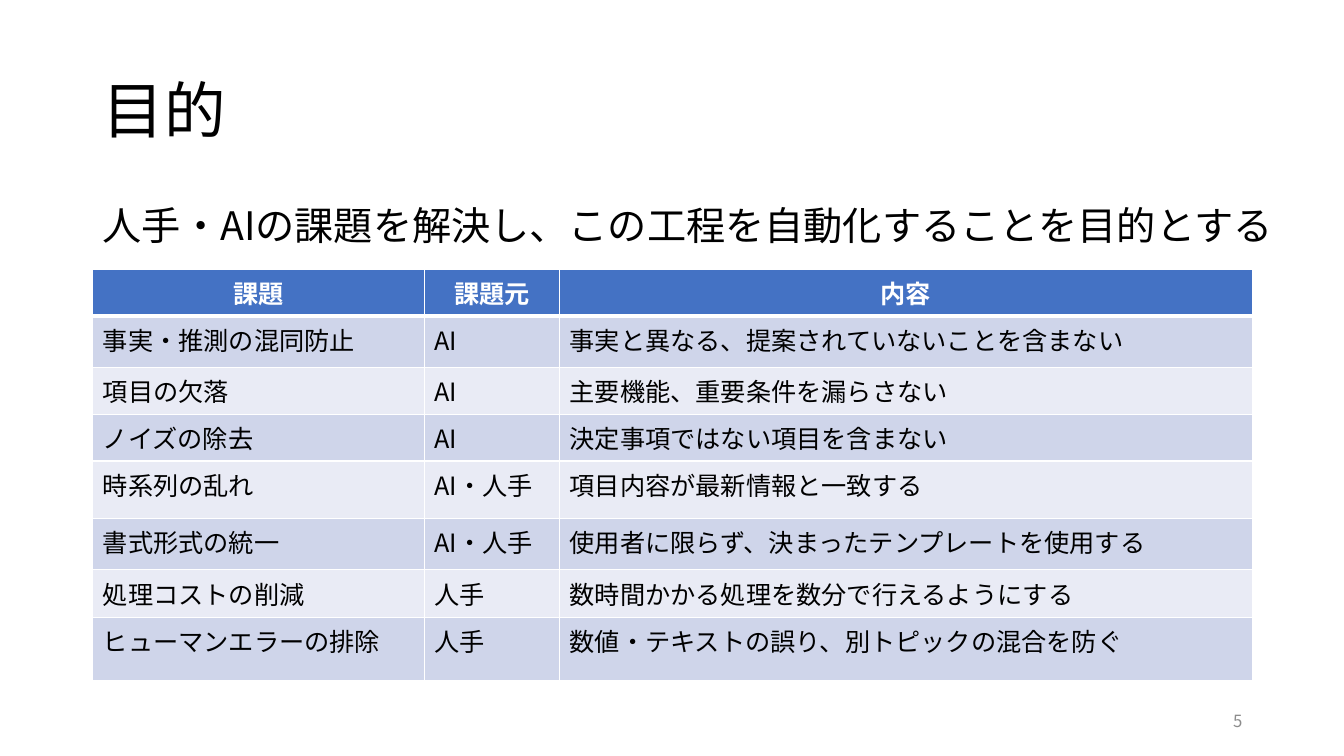
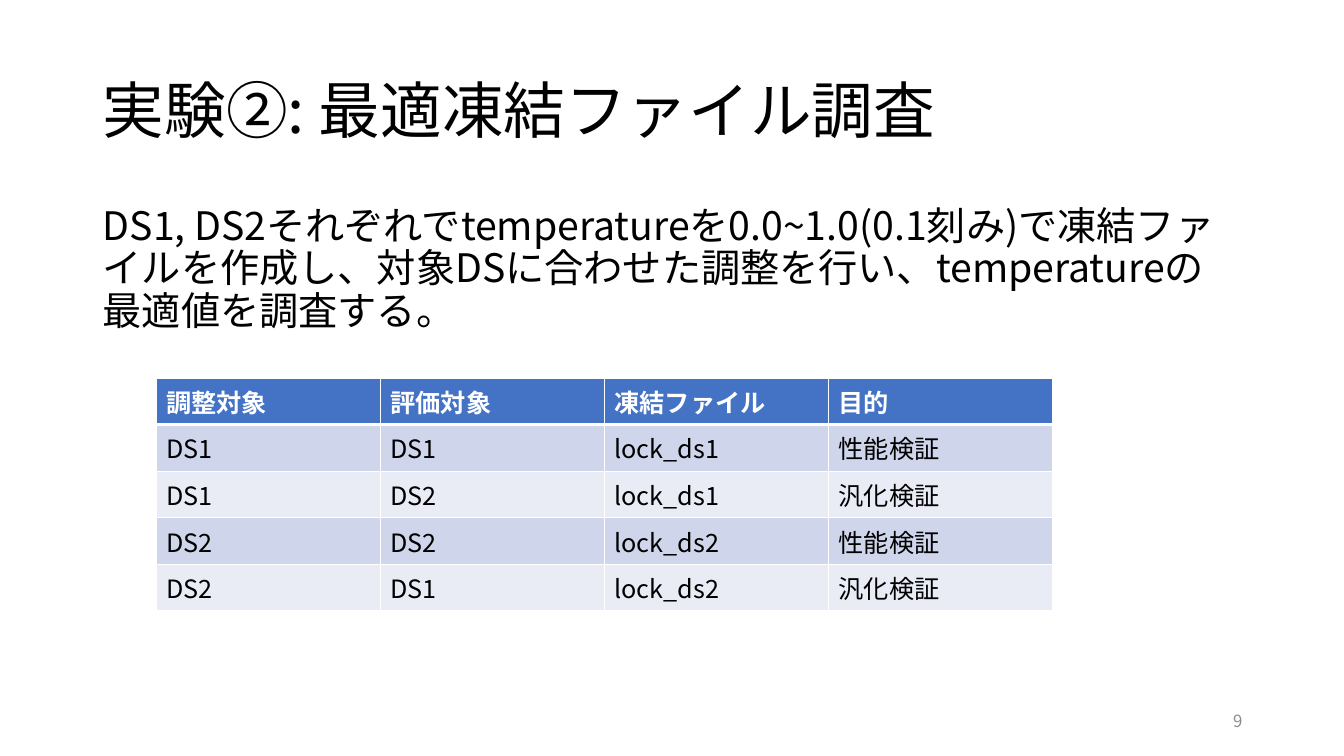
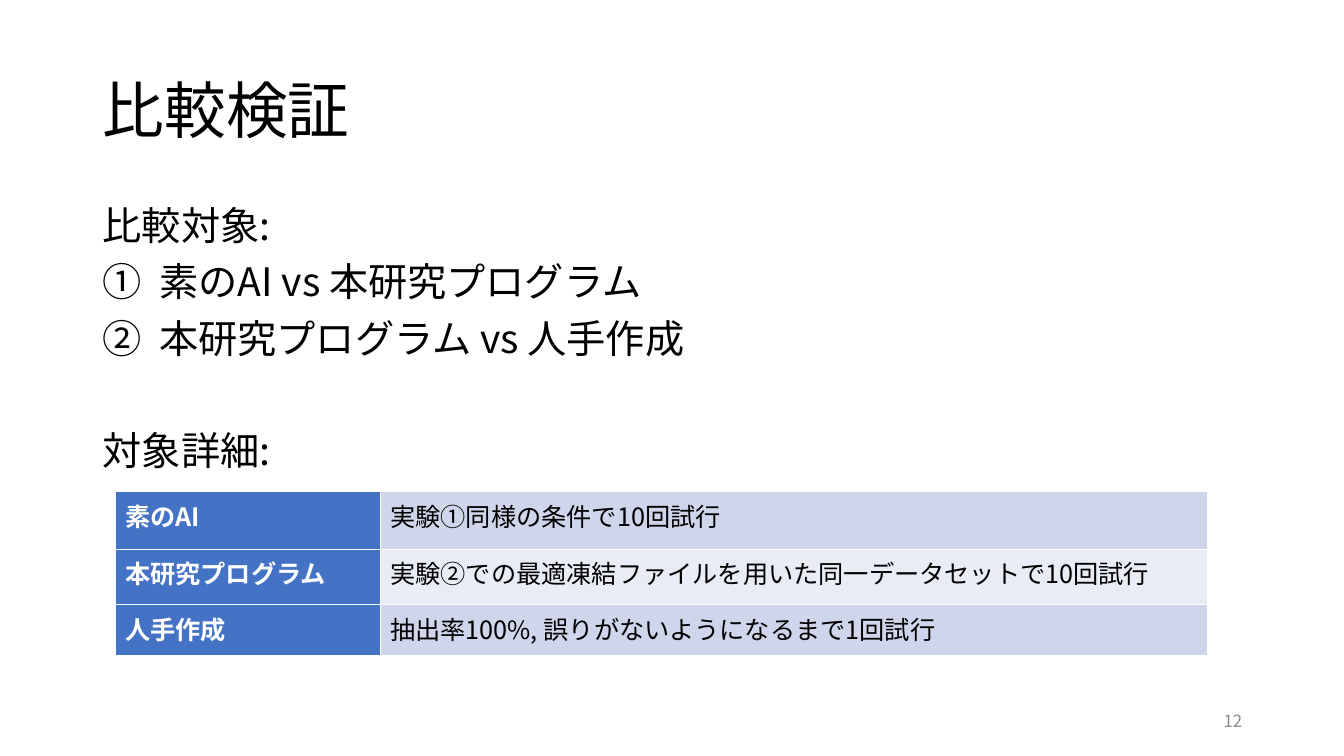
"""Build three research slides, each with a title, a statement and a table."""
import pptx
import pptx.dml.color
import pptx.enum.lang
import pptx.enum.text
import pptx.oxml
import pptx.oxml.ns
import pptx.util

Inches, Pt = pptx.util.Inches, pptx.util.Pt
RGBColor = pptx.dml.color.RGBColor
Align, Anchor = pptx.enum.text.PP_ALIGN, pptx.enum.text.MSO_ANCHOR
qualified = pptx.oxml.ns.qn

BLACK = RGBColor(0x00, 0x00, 0x00)
WHITE = RGBColor(0xFF, 0xFF, 0xFF)
GREY = RGBColor(0x8C, 0x8C, 0x8C)
BLUE = RGBColor(0x44, 0x72, 0xC4)
BANDS = (RGBColor(0xCF, 0xD5, 0xEA), RGBColor(0xE9, 0xEB, 0xF5))

FONT = "Noto Sans CJK JP"
SLIDE_SIZE = (13.33, 7.5)
TITLE_AREA = (0.92, 0.4, 11.5, 1.45)
BODY_AREA = (0.92, 2, 11.5, 4.76)
WIDE_BODY_AREA = (0.92, 2, 12.03, 4.76)
NUMBER_AREA = (9.42, 6.95, 3, 0.4)
NUMBER_INDENT = 0.56

TITLE = {"size": Pt(44), "bold": False}
BODY = {"size": Pt(28), "bold": False}
CELL = {"size": Pt(18), "bold": False}
HEADING = {"size": Pt(18), "bold": True}
PAGE_NUMBER = {"size": Pt(12), "bold": False}

PLAIN = {"line_spacing": 0.9, "space_before": Pt(10)}
AFTER_GAP = {"line_spacing": 0.9, "space_before": Pt(50)}

SLIDES = [
    {
        "title": "目的",
        "number": 5,
        "body_area": WIDE_BODY_AREA,
        "body": [("人手・AIの課題を解決し、この工程を自動化することを目的とする", PLAIN, False)],
        "table": {
            "corner": (0.92, 2.67),
            "columns": [3.29, 1.34, 6.87],
            "heights": [0.45, 0.51, 0.47, 0.45, 0.57, 0.51, 0.47, 0.63],
            "heading": "row",
            "heading_align": Align.CENTER,
            "rows": [
                ("課題", "課題元", "内容"),
                ("事実・推測の混同防止", "AI", "事実と異なる、提案されていないことを含まない"),
                ("項目の欠落", "AI", "主要機能、重要条件を漏らさない"),
                ("ノイズの除去", "AI", "決定事項ではない項目を含まない"),
                ("時系列の乱れ", "AI・人手", "項目内容が最新情報と一致する"),
                ("書式形式の統一", "AI・人手", "使用者に限らず、決まったテンプレートを使用する"),
                ("処理コストの削減", "人手", "数時間かかる処理を数分で行えるようにする"),
                ("ヒューマンエラーの排除", "人手", "数値・テキストの誤り、別トピックの混合を防ぐ"),
            ],
        },
    },
    {
        "title": "実験②: 最適凍結ファイル調査",
        "number": 9,
        "body_area": BODY_AREA,
        "body": [(
            "DS1, DS2それぞれでtemperatureを0.0~1.0(0.1刻み)で凍結ファイルを作成し、"
            "対象DSに合わせた調整を行い、temperatureの最適値を調査する。", PLAIN, False)],
        "table": {
            "corner": (1.55, 3.75),
            "columns": [8.89 / 4] * 4,
            "heights": [0.41] * 5,
            "heading": "row",
            "heading_align": Align.LEFT,
            "rows": [
                ("調整対象", "評価対象", "凍結ファイル", "目的"),
                ("DS1", "DS1", "lock_ds1", "性能検証"),
                ("DS1", "DS2", "lock_ds1", "汎化検証"),
                ("DS2", "DS2", "lock_ds2", "性能検証"),
                ("DS2", "DS1", "lock_ds2", "汎化検証"),
            ],
        },
    },
    {
        "title": "比較検証",
        "number": 12,
        "body_area": BODY_AREA,
        "body": [
            ("比較対象:", PLAIN, False),
            ("素のAI vs 本研究プログラム", PLAIN, True),
            ("本研究プログラム vs 人手作成", PLAIN, True),
            ("対象詳細:", AFTER_GAP, False),
        ],
        "table": {
            "corner": (1.14, 4.88),
            "columns": [2.63, 8.21],
            "heights": [0.57, 0.55, 0.5],
            "heading": "column",
            "heading_align": Align.LEFT,
            "rows": [
                ("素のAI", "実験①同様の条件で10回試行"),
                ("本研究プログラム", "実験②での最適凍結ファイルを用いた同一データセットで10回試行"),
                ("人手作成", "抽出率100%, 誤りがないようになるまで1回試行"),
            ],
        },
    },
]


def apply(target, values):
    for name, value in values.items():
        setattr(target, name, value)


def place(shape, area):
    names = ("left", "top", "width", "height")
    apply(shape, dict(zip(names, map(Inches, area))))


def write(para, text, style, colour, layout):
    apply(para, layout)
    span = para.add_run()
    span.text = text
    apply(span.font, {**style, "name": FONT,
                      "language_id": pptx.enum.lang.MSO_LANGUAGE_ID.JAPANESE})
    span.font.color.rgb = colour
    east_asian = pptx.oxml.parse_xml(
        f'<a:ea {pptx.oxml.ns.nsdecls("a")} typeface="{FONT}"/>')
    span.font._element.find(qualified("a:latin")).addnext(east_asian)


def set_bullet(para, numbered):
    properties = para._p.get_or_add_pPr()
    indent = Inches(NUMBER_INDENT) if numbered else 0
    properties.set("marL", str(indent))
    properties.set("indent", str(-indent))
    tag = 'buAutoNum type="circleNumDbPlain"' if numbered else "buNone"
    name = tag.split()[0]
    properties.append(pptx.oxml.parse_xml(
        f'<a:{name} {pptx.oxml.ns.nsdecls("a")}{tag[len(name):]}/>'))


def set_borders(cell, bottom):
    properties = cell._tc.get_or_add_tcPr()
    for side, width in (("L", 1), ("R", 1), ("T", 1), ("B", bottom)):
        properties.append(pptx.oxml.parse_xml(
            f'<a:ln{side} {pptx.oxml.ns.nsdecls("a")} w="{Pt(width)}">'
            f'<a:solidFill><a:srgbClr val="{WHITE}"/></a:solidFill></a:ln{side}>'))


def add_title(page, text):
    frame = page.shapes.title.text_frame
    apply(frame, {"vertical_anchor": Anchor.MIDDLE, "word_wrap": True,
                  "auto_size": pptx.enum.text.MSO_AUTO_SIZE.NONE})
    write(frame.paragraphs[0], text, TITLE, BLACK,
          {"alignment": Align.LEFT, "line_spacing": 0.9})


def add_body(page, area, lines):
    box = page.placeholders[1]
    place(box, area)
    frame = box.text_frame
    apply(frame, {"vertical_anchor": Anchor.TOP, "word_wrap": True,
                  "auto_size": pptx.enum.text.MSO_AUTO_SIZE.NONE})
    for index, (text, layout, numbered) in enumerate(lines):
        para = frame.add_paragraph() if index else frame.paragraphs[0]
        write(para, text, BODY, BLACK, layout)
        set_bullet(para, numbered)


def add_grid(page, data):
    rows, columns, heights = data["rows"], data["columns"], data["heights"]
    by_row = data["heading"] == "row"
    area = (*data["corner"], sum(columns), sum(heights))
    table = page.shapes.add_table(
        len(rows), len(columns), *map(Inches, area)).table
    apply(table, {"first_row": by_row, "first_col": not by_row})
    for column, width in zip(table.columns, columns):
        column.width = Inches(width)
    for row, height in zip(table.rows, heights):
        row.height = Inches(height)
    for down, texts in enumerate(rows):
        for across, text in enumerate(texts):
            cell = table.cell(down, across)
            heading = (down if by_row else across) == 0
            set_borders(cell, 3 if heading and by_row else 1)
            cell.fill.solid()
            cell.fill.fore_color.rgb = BLUE if heading else BANDS[(down - by_row) % 2]
            write(cell.text_frame.paragraphs[0], text,
                  HEADING if heading else CELL, WHITE if heading else BLACK,
                  {"alignment": data["heading_align"] if heading else Align.LEFT})


def add_number(page, number):
    box = page.shapes.add_textbox(*map(Inches, NUMBER_AREA))
    apply(box.text_frame, {"word_wrap": True, "vertical_anchor": Anchor.MIDDLE})
    write(box.text_frame.paragraphs[0], str(number), PAGE_NUMBER, GREY,
          {"alignment": Align.RIGHT})


def main():
    deck = pptx.Presentation()
    deck.slide_width, deck.slide_height = map(Inches, SLIDE_SIZE)
    layout = deck.slide_layouts[1]
    for holder, area in zip(layout.placeholders, (TITLE_AREA, BODY_AREA)):
        place(holder, area)
    for content in SLIDES:
        page = deck.slides.add_slide(layout)
        add_title(page, content["title"])
        add_body(page, content["body_area"], content["body"])
        add_grid(page, content["table"])
        add_number(page, content["number"])
    deck.save("out.pptx")


if __name__ == "__main__":
    main()
